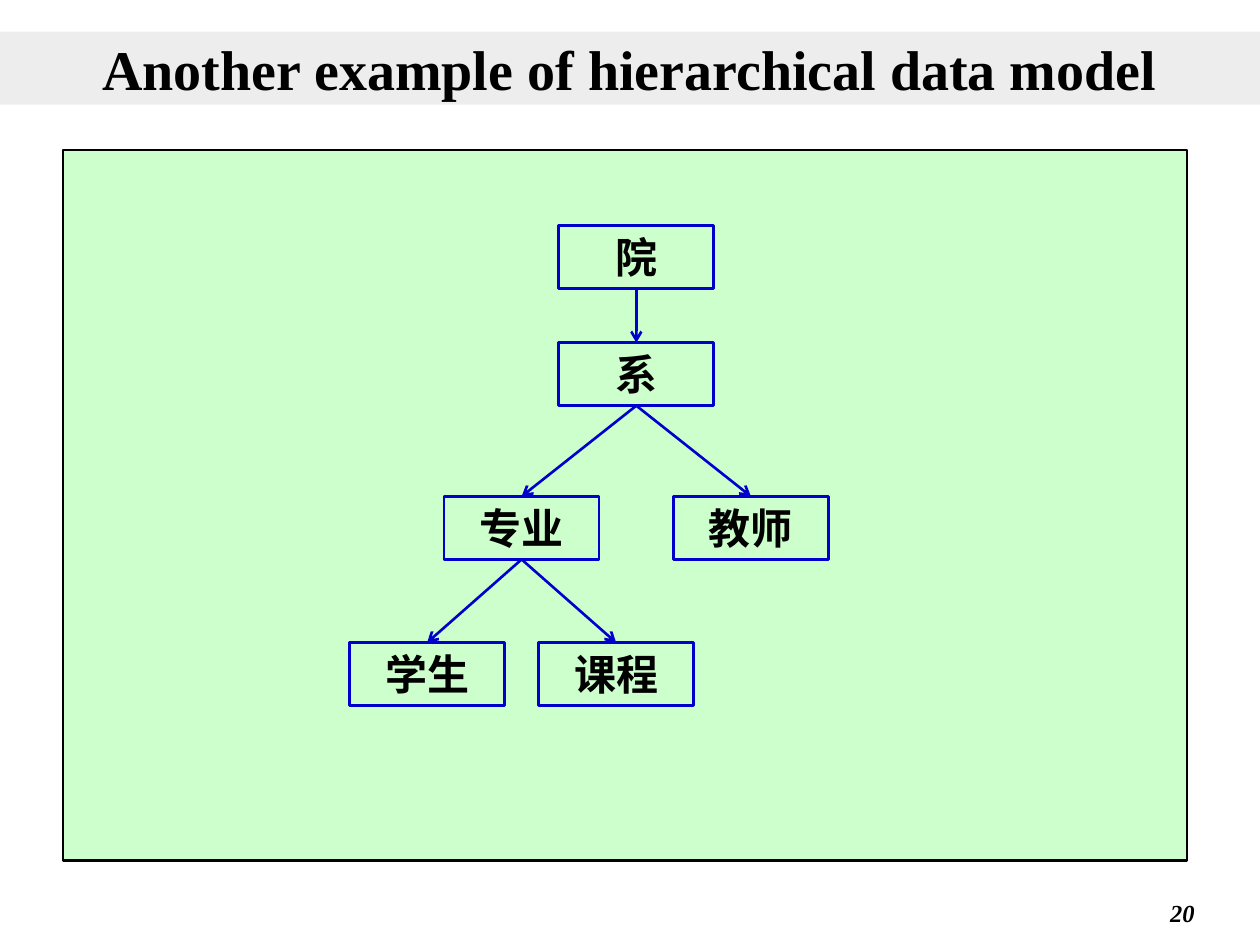
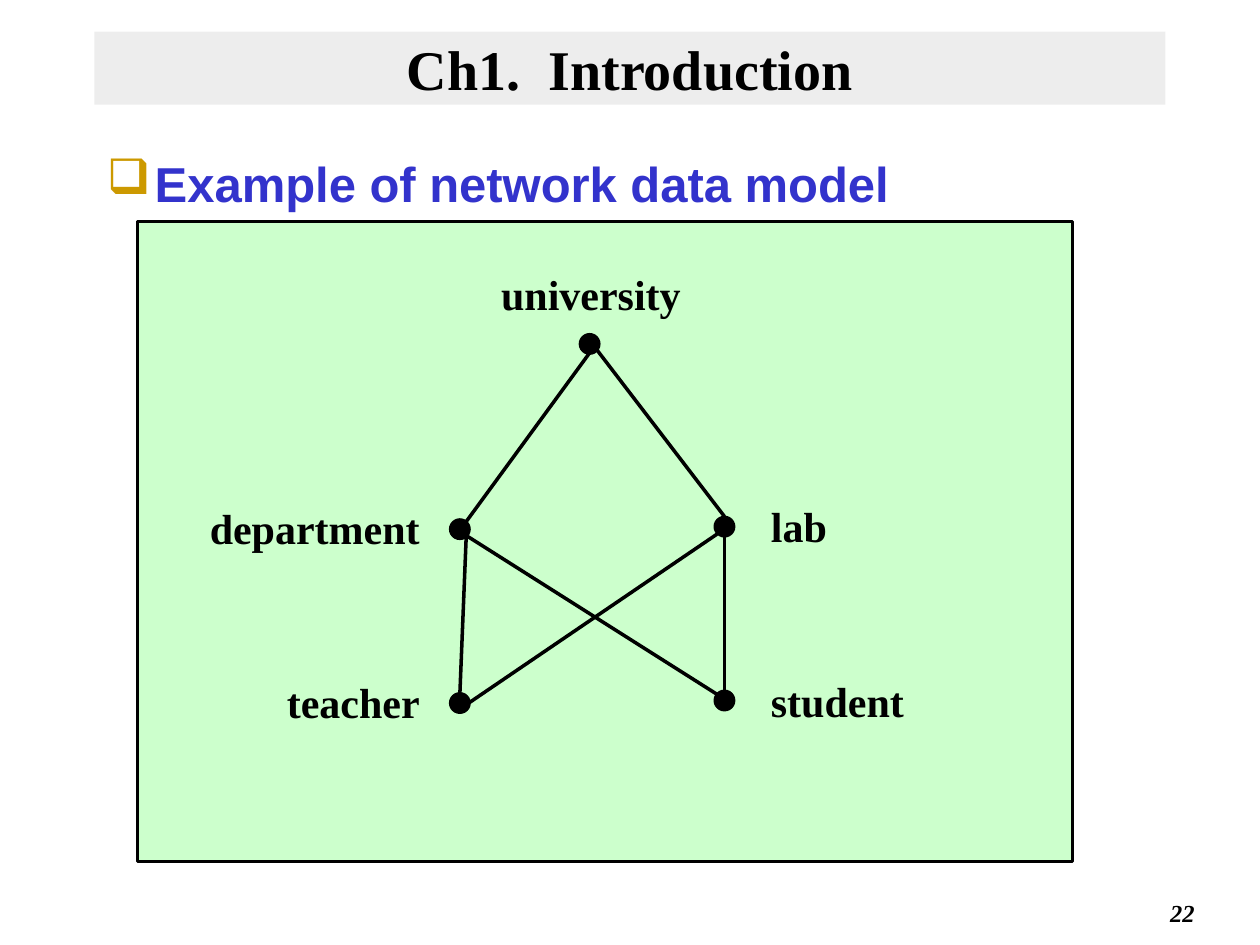
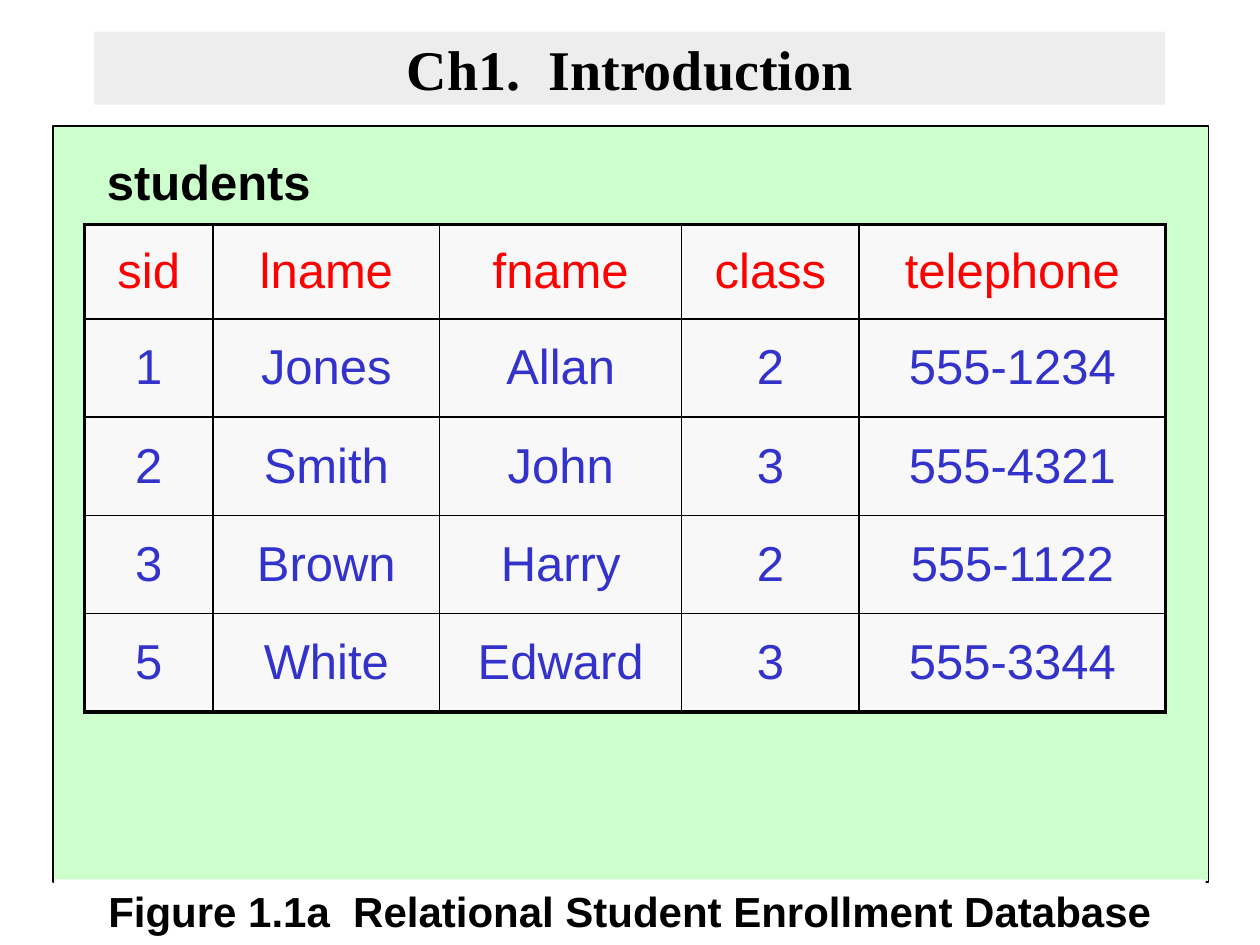
import pptx
import pptx.util
import pptx.dml.color
import pptx.enum.shapes
import pptx.enum.text
import pptx.oxml.ns
import lxml.etree

Inches = pptx.util.Inches
Pt = pptx.util.Pt
KIND = pptx.enum.shapes.MSO_SHAPE
ALIGN = pptx.enum.text.PP_ALIGN
ANCHOR = pptx.enum.text.MSO_ANCHOR

HUES = {"ink": "000000", "mint": "CCFFCC", "band": "DDDDDD", "blue": "0000CC",
        "text": "3333CC", "gold": "CC9900", "red": "FF0000",
        "cell": "F8F8F8", "white": "FFFFFF"}
SERIF, SANS = "Times New Roman", "Arial"
SIDES = {"l": ALIGN.LEFT, "c": ALIGN.CENTER, "r": ALIGN.RIGHT}
NODE_W, NODE_H = 1.23, 0.5
DOT = 0.16

TREE = {"院": (5.05, 1.79), "系": (5.05, 2.72), "专业": (4.14, 3.94),
        "教师": (5.96, 3.94), "学生": (3.39, 5.1), "课程": (4.89, 5.1)}
LINKS = [("院", "系"), ("系", "专业"), ("系", "教师"), ("专业", "学生"), ("专业", "课程")]

DOTS = [("university", (4.6, 2.65), (3.55, 2.08, 2.28), "c"),
        ("department", (3.57, 4.12), (1.56, 3.94, 1.87), "r"),
        ("teacher", (3.57, 5.5), (1.56, 5.32, 1.87), "r"),
        ("lab", (5.67, 4.1), (6.02, 3.92, 1.13), "l"),
        ("student", (5.67, 5.48), (6.02, 5.31, 1.87), "l")]
EDGES = [((4.68, 2.8), (3.7, 4.14)), ((4.74, 2.78), (5.75, 4.1)),
         ((3.7, 4.26), (3.65, 5.5)), ((3.7, 4.25), (5.69, 5.51)),
         ((5.69, 4.24), (3.72, 5.58)), ((5.75, 4.26), (5.75, 5.48))]

ROWS = [("sid", "lname", "fname", "class", "telephone"),
        ("1", "Jones", "Allan", "2", "555-1234"),
        ("2", "Smith", "John", "3", "555-4321"),
        ("3", "Brown", "Harry", "2", "555-1122"),
        ("5", "White", "Edward", "3", "555-3344")]
WIDTHS = [1.02, 1.8, 1.92, 1.41, 2.43]
HEIGHTS = [0.75] + [0.78] * 4


def hue(name):
    """Return the named colour."""
    return pptx.dml.color.RGBColor.from_string(HUES[name])


def put(node, tag, **attrs):
    """Append a drawing element with attributes."""
    item = lxml.etree.SubElement(node, pptx.oxml.ns.qn("a:" + tag))
    for key, val in attrs.items():
        item.set(key, str(val))
    return item


def paint(fill, name):
    """Give a solid fill."""
    fill.solid()
    fill.fore_color.rgb = hue(name)


def write(frame, text, size=24, font=SERIF, color="ink", bold=True, slant=False,
          side="c", before=0, hang=0, mark=None):
    """Write one formatted paragraph into a text frame."""
    frame.word_wrap = True
    para = frame.paragraphs[0]
    para.alignment = SIDES[side]
    props = para._p.get_or_add_pPr()
    if hang:
        props.set("marL", str(Inches(hang)))
        props.set("indent", str(-Inches(hang)))
    if before:
        put(put(props, "spcBef"), "spcPct", val=before * 1000)
    if mark:
        put(put(props, "buClr"), "srgbClr", val=HUES["gold"])
        put(props, "buChar", char=mark)
    run = para.add_run()
    run.text = text
    run.font.name, run.font.size = font, Pt(size)
    run.font.bold, run.font.italic = bold, slant
    run.font.color.rgb = hue(color)


def box(slide, x, y, w, h, fill=None, line=None, width=1.5, kind=KIND.RECTANGLE):
    """Add a plain shape."""
    shape = slide.shapes.add_shape(kind, Inches(x), Inches(y), Inches(w), Inches(h))
    shape.shadow.inherit = False
    if fill:
        paint(shape.fill, fill)
    else:
        shape.fill.background()
    if line:
        shape.line.color.rgb = hue(line)
        shape.line.width = Pt(width)
    else:
        shape.line.fill.background()
    shape.text_frame.vertical_anchor = ANCHOR.TOP
    return shape


def label(slide, x, y, w, h, text, **form):
    """Add a text box."""
    area = slide.shapes.add_textbox(Inches(x), Inches(y), Inches(w), Inches(h))
    write(area.text_frame, text, **form)


def link(slide, start, end, color="ink", width=2, arrow=False):
    """Draw a straight line, with an arrowhead if asked."""
    line = slide.shapes.add_connector(pptx.enum.shapes.MSO_CONNECTOR.STRAIGHT,
                                      *[Inches(v) for v in (*start, *end)])
    line.line.color.rgb = hue(color)
    line.line.width = Pt(width)
    if arrow:
        put(line.line._get_or_add_ln(), "tailEnd", type="arrow")
    put(line._element.spPr, "effectLst")


def title(slide, text, x=0.75):
    """Add the half-clear title band."""
    band = box(slide, x, 0.25, 10 - 2 * x, 0.58, "band")
    tint = band.fill._xPr.find(".//" + pptx.oxml.ns.qn("a:srgbClr"))
    put(tint, "alpha", val=50000)
    band.text_frame.vertical_anchor = ANCHOR.MIDDLE
    write(band.text_frame, text, size=32)


def page(slide, number):
    """Add the page number."""
    label(slide, 7.5, 7.08, 2.08, 0.33, number, size=14, slant=True, side="r")


def edge(cell, tag, width):
    """Set one border of a cell."""
    line = put(cell._tc.get_or_add_tcPr(), tag, w=Pt(width))
    put(put(line, "solidFill"), "srgbClr", val=HUES["ink"])


def grid(slide, x, y):
    """Add the student table with a heavy outer frame."""
    frame = slide.shapes.add_table(len(ROWS), len(WIDTHS), Inches(x), Inches(y),
                                   Inches(sum(WIDTHS)), Inches(sum(HEIGHTS)))
    table = frame.table
    table.first_row = table.horz_banding = False
    for col, width in zip(table.columns, WIDTHS):
        col.width = Inches(width)
    for r, (row, height) in enumerate(zip(ROWS, HEIGHTS)):
        table.rows[r].height = Inches(height)
        for c, text in enumerate(row):
            cell = table.cell(r, c)
            outer = {"lnL": c == 0, "lnR": c == len(row) - 1,
                     "lnT": r == 0, "lnB": r == len(ROWS) - 1}
            for tag, heavy in outer.items():
                edge(cell, tag, 2.25 if heavy else 1)
            paint(cell.fill, "cell")
            cell.vertical_anchor = ANCHOR.MIDDLE
            write(cell.text_frame, text, size=28, font=SANS, bold=False,
                  color="text" if r else "red", before=20)


def tree(slide):
    """Build the tree model slide."""
    page(slide, "20")
    box(slide, 0.5, 1.19, 8.92, 5.64, "mint", "ink")
    title(slide, "Another example of hierarchical data model", x=0)
    for text, (x, y) in TREE.items():
        node = box(slide, x - NODE_W / 2, y, NODE_W, NODE_H, line="blue")
        write(node.text_frame, text)
    for top, low in LINKS:
        x, y = TREE[top]
        link(slide, (x, y + NODE_H), TREE[low], "blue", 1.5, arrow=True)


def net(slide):
    """Build the network model slide."""
    page(slide, "22")
    box(slide, 1.09, 1.76, 7.42, 5.08, "mint", "ink")
    title(slide, "Ch1.  Introduction")
    label(slide, 0.75, 1.17, 8.5, 5.58, "Example of network data model", size=28,
          font=SANS, color="text", side="l", before=20, hang=0.38, mark="❑")
    for text, spot, (x, y, w), side in DOTS:
        box(slide, *spot, DOT, DOT, "ink", "ink", 1, KIND.FLOWCHART_CONNECTOR)
        label(slide, x, y, w, 0.5, text, side=side)
    for start, end in EDGES:
        link(slide, start, end)


def data(slide):
    """Build the student table slide."""
    box(slide, 0.42, 1, 9.17, 6, "mint", "ink", 0.75)
    title(slide, "Ch1.  Introduction")
    note = box(slide, 0.43, 6.98, 9.14, 0.5, "white")
    write(note.text_frame, "Figure 1.1a  Relational Student Enrollment Database",
          font=SANS, before=20, hang=0.38)
    grid(slide, 0.67, 1.78)
    label(slide, 0.75, 1.15, 1.97, 0.57, "students", size=28, font=SANS,
          side="l", before=50)


def main():
    """Build and save the slides."""
    deck = pptx.Presentation()
    deck.slide_width, deck.slide_height = Inches(10), Inches(7.5)
    for build in (tree, net, data):
        build(deck.slides.add_slide(deck.slide_layouts[6]))
    deck.save("out.pptx")


if __name__ == "__main__":
    main()
